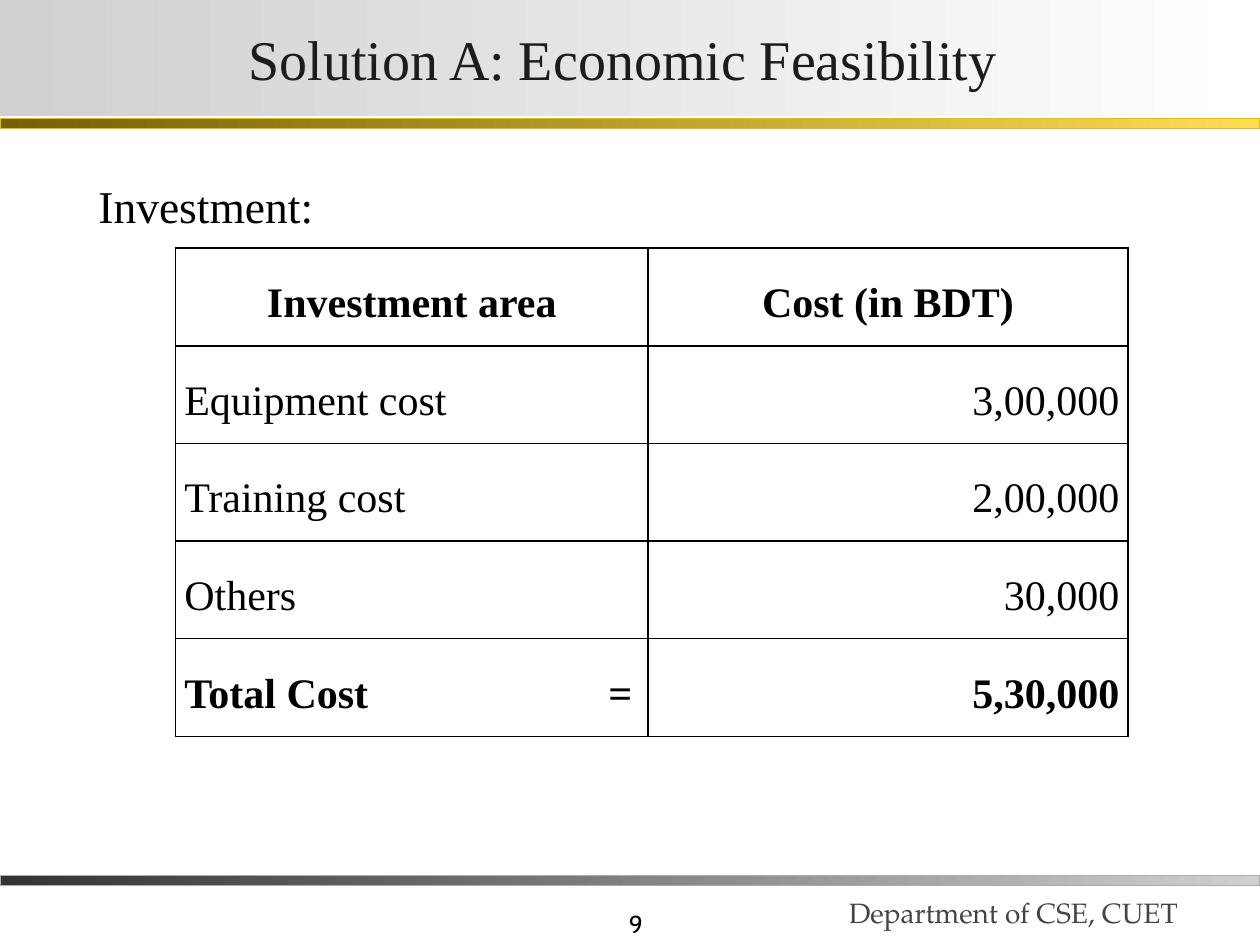
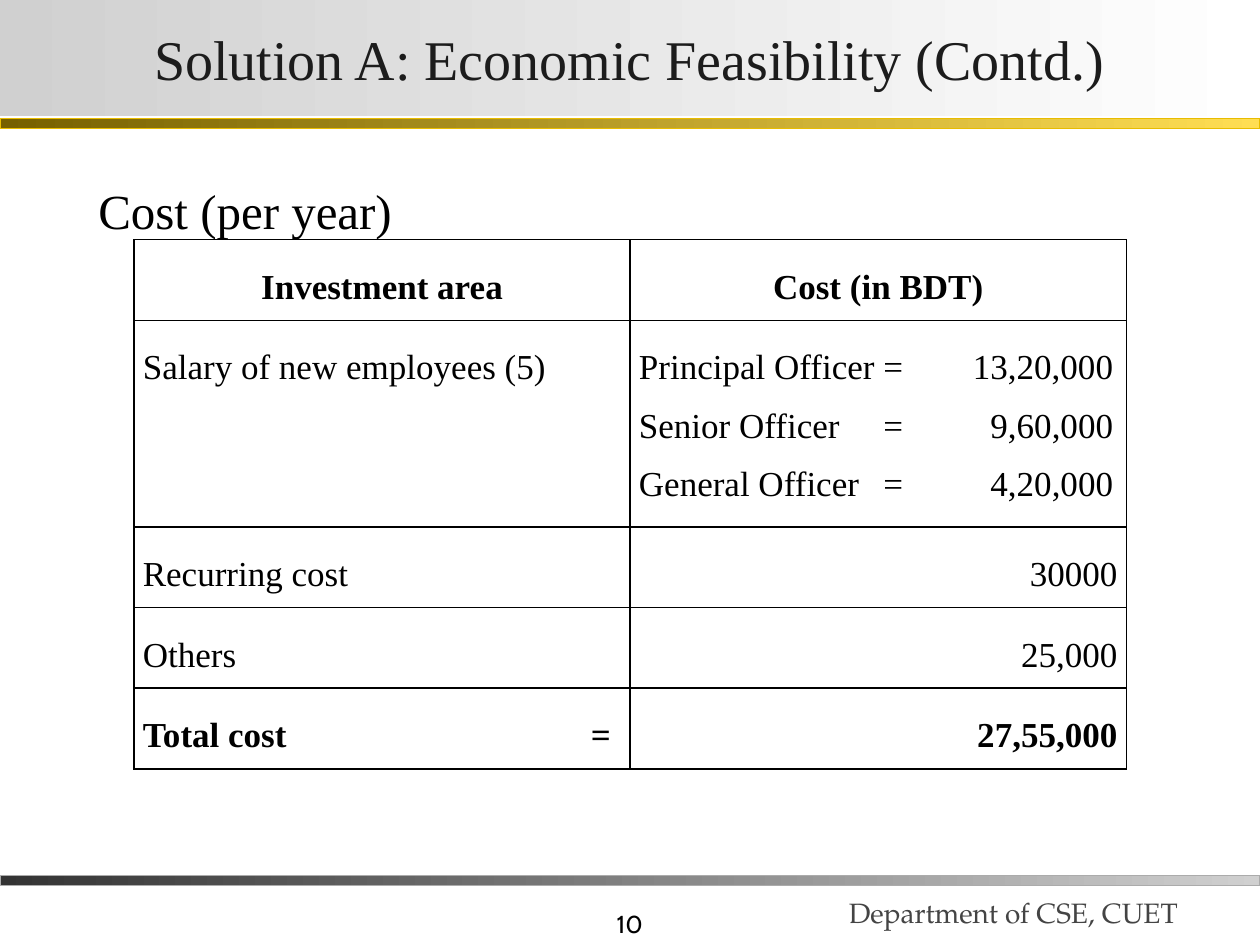
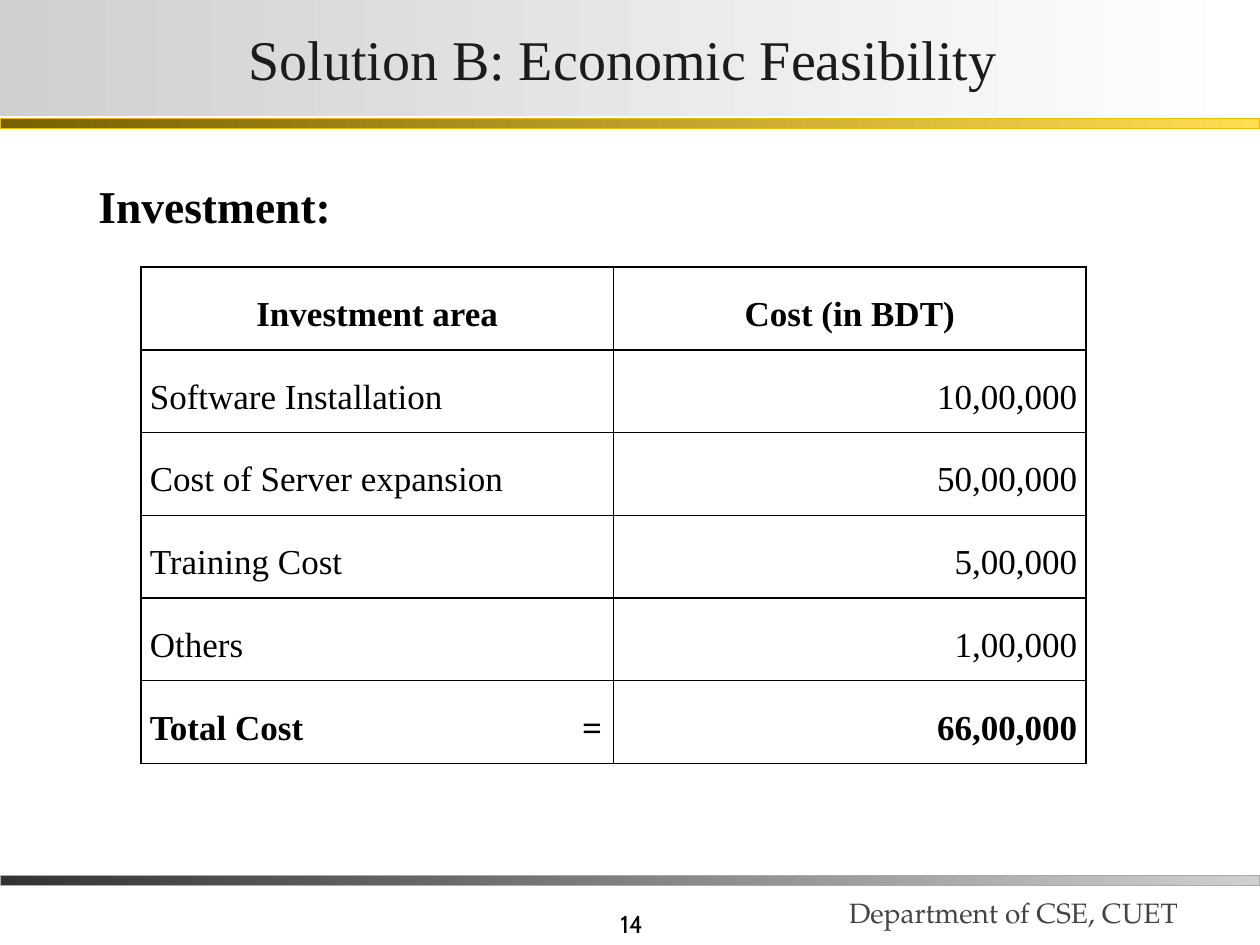
from lxml import etree
from pptx import Presentation
from pptx.dml.color import RGBColor
from pptx.enum.shapes import MSO_SHAPE
from pptx.enum.text import MSO_ANCHOR, PP_ALIGN
from pptx.oxml.ns import qn
from pptx.util import Pt

RECTANGLE = MSO_SHAPE.RECTANGLE
TOP, MIDDLE, BOTTOM = MSO_ANCHOR.TOP, MSO_ANCHOR.MIDDLE, MSO_ANCHOR.BOTTOM
LEFT, CENTER, RIGHT = PP_ALIGN.LEFT, PP_ALIGN.CENTER, PP_ALIGN.RIGHT

COLORS = {
    "black": "000000", "white": "FFFFFF", "title": "1C1C1C", "footer": "444444",
    "dark gray": "333333", "light gray": "D0D0D0", "gray edge": "ABABAB",
    "dark gold": "766000", "light gold": "FFDE53", "gold edge": "E8BC00",
}
SERIF, FOOTER_FONT, NUMBER_FONT = "Times New Roman", "TeX Gyre Pagella", "Cabin"
WIDTH, HEIGHT = 720, 540
CELL_MARGIN = 5.04

# top, height, gradient start, gradient end, edge
BANDS = [
    (500.4, 5.76, "dark gray", "light gray", "gray edge"),
    (67.68, 5.76, "dark gold", "light gold", "gold edge"),
    (0, 66.24, "light gray", "white", None),
]

HEADER = ("Investment area", "Cost (in BDT)")
SLIDES = [
    {
        "number": "9", "title": "Solution A: Economic Feasibility ",
        "heading": "Investment:", "heading size": 26, "heading bold": False,
        "left": 100.3, "top": 141.8, "columns": (270, 274.3),
        "row heights": [55.8] * 5, "size": 24, "total tab": 256,
        "rows": [
            HEADER,
            ("Equipment cost", "3,00,000"),
            ("Training cost", "2,00,000"),
            ("Others", "30,000"),
            ("Total Cost\t=", "5,30,000"),
        ],
    },
    {
        "number": "10", "title": "Solution A: Economic Feasibility (Contd.)",
        "heading": "Cost (per year)", "heading size": 28, "heading bold": False,
        "left": 76.6, "top": 137, "columns": (283.5, 283.5),
        "row heights": [43.3, 109.8, 43.3, 43.3, 43.3], "size": 20, "total tab": 267.5,
        "rows": [
            HEADER,
            ("Salary of new employees (5)",
             "Principal Officer\t=\t13,20,000\v"
             "Senior Officer\t=\t9,60,000\v"
             "General Officer\t=\t4,20,000"),
            ("Recurring cost", "30000"),
            ("Others", "25,000"),
            ("Total cost\t=", "27,55,000"),
        ],
    },
    {
        "number": "14", "title": "Solution B: Economic Feasibility ",
        "heading": "Investment:", "heading size": 26, "heading bold": True,
        "left": 80.6, "top": 152.6, "columns": (270, 270),
        "row heights": [47.3] * 6, "size": 20, "total tab": 258.5,
        "rows": [
            HEADER,
            ("Software Installation", "10,00,000"),
            ("Cost of Server expansion", "50,00,000"),
            ("Training Cost", "5,00,000"),
            ("Others", "1,00,000"),
            ("Total Cost\t=", "66,00,000"),
        ],
    },
]
OFFICER_TABS = (151, 271)


def write(frame, text, size, font=SERIF, color="black", align=LEFT, bold=False, spacing=1):
    frame.word_wrap = True
    para = frame.paragraphs[0]
    para.text = text
    para.alignment = align
    para.line_spacing = spacing
    for span in para.runs:
        span.font.size = Pt(size)
        span.font.name = font
        span.font.bold = bold
        span.font.color.rgb = RGBColor.from_string(COLORS[color])
    return para


def add_box(page, left, top, width, height, anchor):
    box = page.shapes.add_textbox(Pt(left), Pt(top), Pt(width), Pt(height))
    box.text_frame.vertical_anchor = anchor
    return box.text_frame


deck = Presentation()
deck.slide_width, deck.slide_height = Pt(WIDTH), Pt(HEIGHT)

for content in SLIDES:
    page = deck.slides.add_slide(deck.slide_layouts[6])

    write(add_box(page, 224.6, 504, 149.8, 36, BOTTOM), content["number"], 14,
          NUMBER_FONT, align=RIGHT)
    write(add_box(page, 478, 489.6, 247.7, 44.6, BOTTOM), "Department of CSE, CUET", 16,
          FOOTER_FONT, "footer")

    for top, height, start, end, edge in BANDS:
        band = page.shapes.add_shape(RECTANGLE, 0, Pt(top), Pt(WIDTH), Pt(height))
        band.shadow.inherit = False
        band.fill.gradient()
        band.fill.gradient_angle = 0
        for stop, color in zip(band.fill.gradient_stops, (start, end)):
            stop.color.rgb = RGBColor.from_string(COLORS[color])
        if edge:
            band.line.color.rgb = RGBColor.from_string(COLORS[edge])
            band.line.width = Pt(0.75)
        else:
            band.line.fill.background()

    # The last band is the title's own background
    title = band.text_frame
    title.vertical_anchor = MIDDLE
    title.margin_left = title.margin_right = Pt(1.44)
    title.margin_top = title.margin_bottom = Pt(0.72)
    write(title, content["title"], 32, color="title", align=CENTER)

    heading = add_box(page, 13, 82.8, 680.4, 398.2, TOP)
    heading.margin_left = Pt(43.2)
    write(heading, content["heading"], content["heading size"],
          bold=content["heading bold"], spacing=1.5)

    rows = content["rows"]
    table = page.shapes.add_table(
        len(rows), len(HEADER), Pt(content["left"]), Pt(content["top"]),
        Pt(sum(content["columns"])), Pt(sum(content["row heights"]))).table
    table.first_row = table.horz_banding = False
    for column, width in zip(table.columns, content["columns"]):
        column.width = Pt(width)

    for row_index, texts in enumerate(rows):
        table.rows[row_index].height = Pt(content["row heights"][row_index])
        is_header, is_total = row_index == 0, row_index == len(rows) - 1
        for column_index, text in enumerate(texts):
            cell = table.cell(row_index, column_index)
            cell.margin_left = cell.margin_right = Pt(CELL_MARGIN)
            cell.margin_top = cell.margin_bottom = Pt(CELL_MARGIN)
            if is_header:
                align = CENTER
            else:
                align = RIGHT if column_index == 1 and "\t" not in text else LEFT
            para = write(cell.text_frame, text, content["size"], align=align,
                         bold=is_header or is_total, spacing=1.5)

            if "\t" in text:
                tabs = (content["total tab"],) if is_total else OFFICER_TABS
                tab_list = etree.SubElement(para._p.get_or_add_pPr(), qn("a:tabLst"))
                for position in tabs:
                    etree.SubElement(tab_list, qn("a:tab"), pos=str(Pt(position)), algn="r")

            properties = cell._tc.get_or_add_tcPr()
            for side in ("a:lnL", "a:lnR", "a:lnT", "a:lnB"):
                border = etree.SubElement(properties, qn(side), w=str(Pt(1)))
                border_fill = etree.SubElement(border, qn("a:solidFill"))
                etree.SubElement(border_fill, qn("a:srgbClr"), val=COLORS["black"])
            cell.fill.background()

deck.save("out.pptx")
